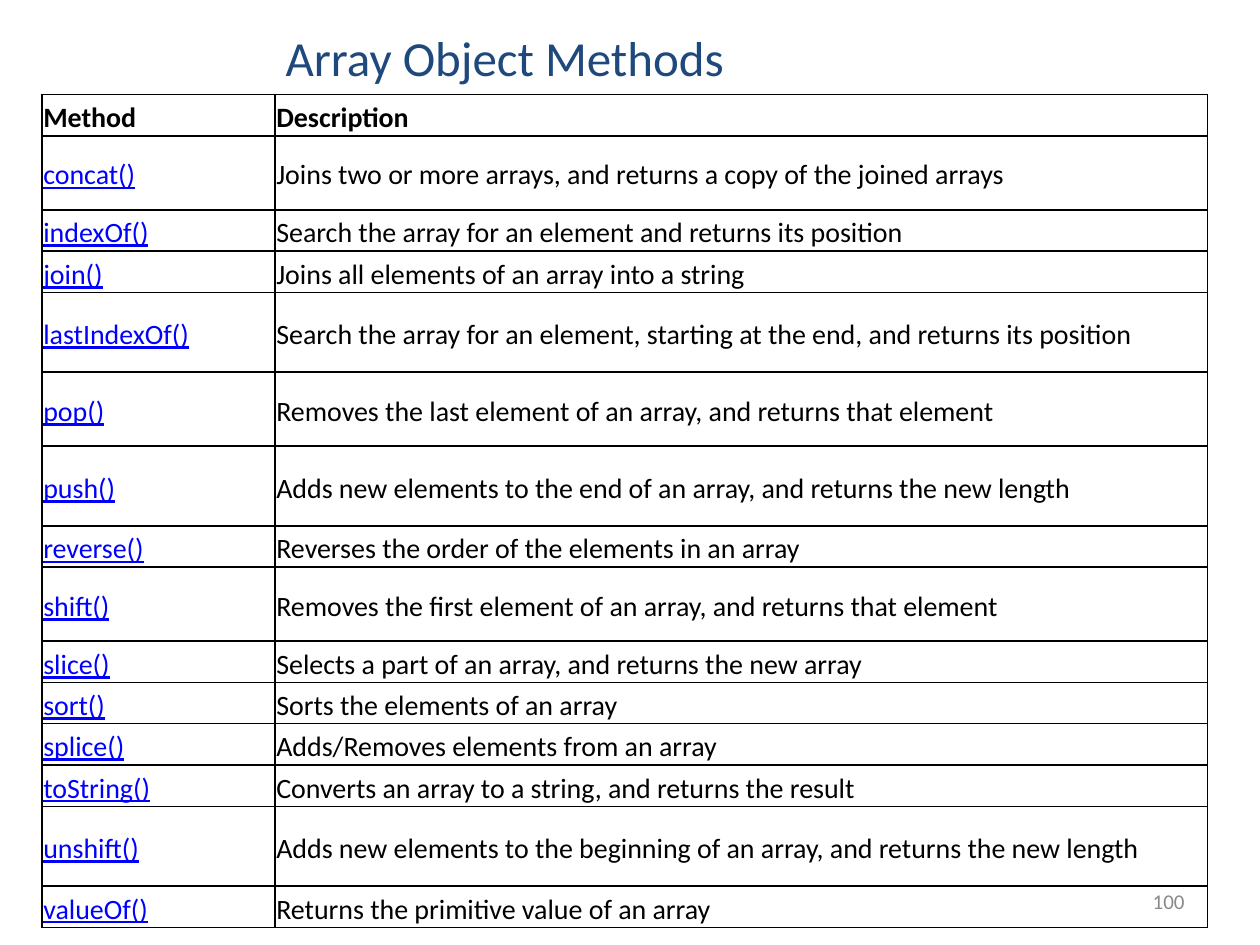
from dataclasses import dataclass

from lxml.etree import SubElement
from pptx import Presentation
from pptx.dml.color import RGBColor
from pptx.enum.text import MSO_ANCHOR as Anchor, MSO_AUTO_SIZE as AutoSize, PP_ALIGN as Align
from pptx.oxml.ns import qn
from pptx.util import Pt


@dataclass(frozen=True)
class Theme:
    font: str = "Calibri"
    title: str = "1F497D"
    text: str = "000000"
    link: str = "0000FF"
    muted: str = "898989"
    border: str = "000000"
    title_size: int = 28
    table_size: int = 16
    number_size: int = 12


THEME = Theme()
SHORT, MEDIUM, TALL = 23.6, 42.3, 45.6
COLUMN_WIDTHS = (133.2, 532.8)
METHODS = [
    ("concat()", "Joins two or more arrays, and returns a copy of the joined arrays", MEDIUM),
    ("indexOf()", "Search the array for an element and returns its position", SHORT),
    ("join()", "Joins all elements of an array into a string", SHORT),
    ("lastIndexOf()", "Search the array for an element, starting at the end, and returns its position", TALL),
    ("pop()", "Removes the last element of an array, and returns that element", MEDIUM),
    ("push()", "Adds new elements to the end of an array, and returns the new length", TALL),
    ("reverse()", "Reverses the order of the elements in an array", SHORT),
    ("shift()", "Removes the first element of an array, and returns that element", MEDIUM),
    ("slice()", "Selects a part of an array, and returns the new array", SHORT),
    ("sort()", "Sorts the elements of an array", SHORT),
    ("splice()", "Adds/Removes elements from an array", SHORT),
    ("toString()", "Converts an array to a string, and returns the result", SHORT),
    ("unshift()", "Adds new elements to the beginning of an array, and returns the new length", TALL),
    ("valueOf()", "Returns the primitive value of an array", SHORT),
]


def set_attrs(obj, values):
    for name, value in values.items():
        setattr(obj, name, value)


def write(tf, text, size, color, align=Align.LEFT, spacing=None, **font):
    p = tf.paragraphs[0]
    set_attrs(p, {"alignment": align, "line_spacing": spacing})
    r = p.add_run()
    r.text = text
    set_attrs(r.font, {"name": THEME.font, "size": Pt(size), **font})
    r.font.color.rgb = RGBColor.from_string(color)


def add_title(s, text):
    sp = s.shapes.title
    set_attrs(sp, {"left": Pt(156), "top": Pt(12), "width": Pt(268), "height": Pt(41)})
    set_attrs(sp.text_frame, {"word_wrap": False, "auto_size": AutoSize.SHAPE_TO_FIT_TEXT,
                              "vertical_anchor": Anchor.TOP})
    write(sp.text_frame, text, THEME.title_size, THEME.title)


def add_page_number(s, text):
    sp = s.shapes.add_textbox(Pt(516), Pt(500.5), Pt(168), Pt(28.75))
    set_attrs(sp.text_frame, {"word_wrap": True, "vertical_anchor": Anchor.MIDDLE})
    write(sp.text_frame, text, THEME.number_size, THEME.muted, Align.RIGHT)


def add_borders(cell):
    """Draw all four sides; the schema wants them ahead of the cell fill."""
    tc_pr = cell._tc.get_or_add_tcPr()
    for side in ("lnL", "lnR", "lnT", "lnB"):
        ln = SubElement(tc_pr, qn(f"a:{side}"), w=str(Pt(1)))
        fill = SubElement(ln, qn("a:solidFill"))
        SubElement(fill, qn("a:srgbClr"), val=THEME.border)


def fill_cell(cell, text, **style):
    margins = ("margin_left", "margin_right", "margin_top", "margin_bottom")
    set_attrs(cell, {"vertical_anchor": Anchor.MIDDLE, **dict.fromkeys(margins, Pt(0.75))})
    add_borders(cell)
    cell.fill.background()
    write(cell.text_frame, text, THEME.table_size, spacing=1.15, **style)


def add_method_table(s):
    rows = [("Method", "Description", SHORT), *METHODS]
    heights = [row[-1] for row in rows]
    frame = s.shapes.add_table(len(rows), len(COLUMN_WIDTHS), Pt(24), Pt(54),
                               Pt(sum(COLUMN_WIDTHS)), Pt(sum(heights)))
    table = frame.table
    set_attrs(table, {"first_row": False, "horz_banding": False})
    for column, width in zip(table.columns, COLUMN_WIDTHS):
        column.width = Pt(width)
    header = {"color": THEME.text, "bold": True}
    body = ({"color": THEME.link, "underline": True}, {"color": THEME.text})
    for i, (*texts, height) in enumerate(rows):
        table.rows[i].height = Pt(height)
        styles = body if i else (header, header)
        for cell, text, style in zip(table.rows[i].cells, texts, styles):
            fill_cell(cell, text, **style)


def main():
    prs = Presentation()
    set_attrs(prs, {"slide_width": Pt(720), "slide_height": Pt(540)})
    s = prs.slides.add_slide(prs.slide_layouts[5])
    add_page_number(s, "100")
    add_title(s, "Array Object Methods")
    add_method_table(s)
    prs.save("out.pptx")


if __name__ == "__main__":
    main()
